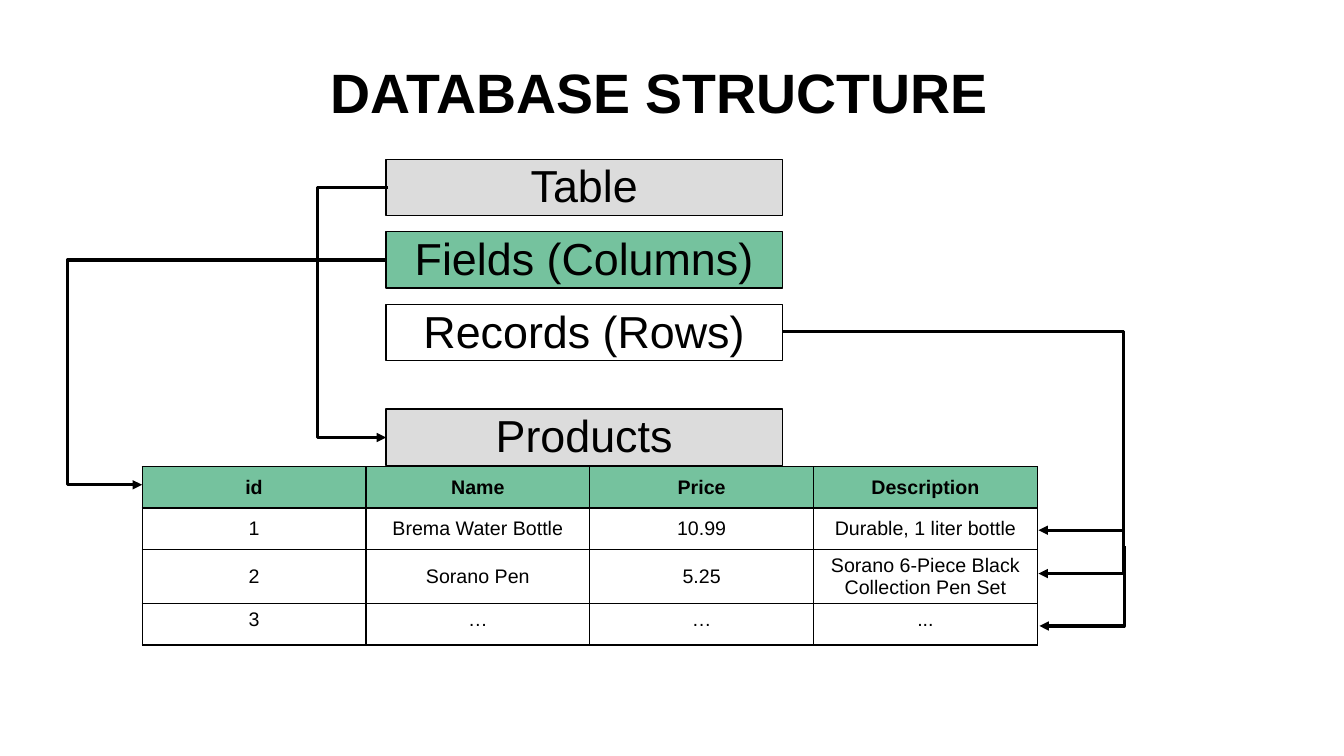
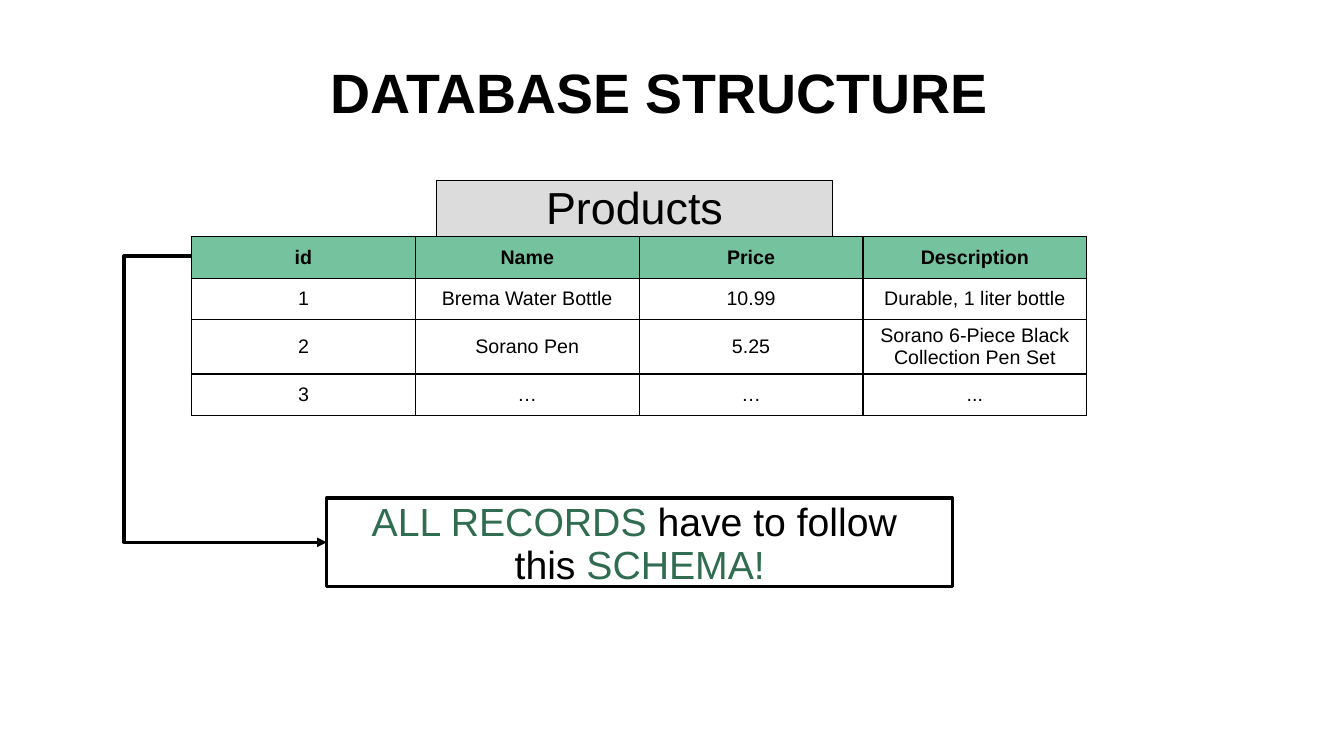
from lxml import etree
from pptx import Presentation
from pptx.dml.color import RGBColor
from pptx.enum.shapes import MSO_CONNECTOR, MSO_SHAPE
from pptx.enum.text import MSO_ANCHOR, PP_ALIGN
from pptx.oxml.ns import qn
from pptx.util import Inches, Pt

RECTANGLE = MSO_SHAPE.RECTANGLE
ELBOW = MSO_CONNECTOR.ELBOW
LEFT, CENTER = PP_ALIGN.LEFT, PP_ALIGN.CENTER
TOP, MIDDLE = MSO_ANCHOR.TOP, MSO_ANCHOR.MIDDLE

FONT = "Arial"
BLACK, WHITE, GRAY = "000000", "FFFFFF", "DCDCDC"
GREEN, DARK_GREEN = "75C29E", "306C50"

LABEL_WIDTH, LABEL_HEIGHT = 3.93, 0.56
COLUMN_WIDTH = 2.22
ROW_HEIGHTS = (0.41, 0.41, 0.54, 0.41)
PRODUCTS = (
    ("id", "Name", "Price", "Description"),
    ("1", "Brema Water Bottle", "10.99", "Durable, 1 liter bottle"),
    ("2", "Sorano Pen", "5.25", "Sorano 6-Piece Black Collection Pen Set"),
    ("3", "…", "…", "..."),
)


def color(hex_code):
    return RGBColor.from_string(hex_code)


def write(frame, spans, size, bold=False, align=CENTER, anchor=TOP, spacing=None):
    """Fill a text frame with one paragraph of (text, colour) spans; "\\n" breaks the line."""
    frame.word_wrap = True
    frame.vertical_anchor = anchor
    para = frame.paragraphs[0]
    para.alignment = align
    if spacing:
        para.line_spacing = spacing
    for text, ink in spans:
        if text == "\n":
            para.add_line_break()
            continue
        span = para.add_run()
        span.text = text
        span.font.name = FONT
        span.font.size = Pt(size)
        span.font.bold = bold
        span.font.color.rgb = color(ink)


def set_margins(frame, margin=0.05):
    frame.margin_left = frame.margin_right = Inches(margin)
    frame.margin_top = frame.margin_bottom = Inches(margin)


def add_page(deck, title):
    page = deck.slides.add_slide(deck.slide_layouts.get_by_name("Title Only"))
    box = page.shapes.title
    box.left, box.top = Inches(3.23), Inches(0.5)
    box.width, box.height = Inches(6.88), Inches(0.89)
    set_margins(box.text_frame)
    write(box.text_frame, [(title, BLACK)], 39.6, bold=True, align=LEFT,
          anchor=MIDDLE, spacing=0.9)
    return page


def add_box(page, left, top, width, height, spans, size, fill=None, line_width=1):
    box = page.shapes.add_shape(RECTANGLE, Inches(left), Inches(top),
                                Inches(width), Inches(height))
    box.shadow.inherit = False
    if fill:
        box.fill.solid()
        box.fill.fore_color.rgb = color(fill)
    else:
        box.fill.background()
    box.line.color.rgb = color(BLACK)
    box.line.width = Pt(line_width)
    set_margins(box.text_frame)
    write(box.text_frame, spans, size, spacing=0.9)


def add_label(page, left, top, text, fill):
    add_box(page, left, top, LABEL_WIDTH, LABEL_HEIGHT, [(text, BLACK)], 32, fill)


def add_elbow_arrow(page, start, end, turn):
    """Draw an arrow whose vertical part lies at the x position given by turn."""
    arrow = page.shapes.add_connector(ELBOW, Inches(start[0]), Inches(start[1]),
                                      Inches(end[0]), Inches(end[1]))
    arrow.line.color.rgb = color(BLACK)
    arrow.line.width = Pt(2.25)
    properties = arrow._element.spPr
    bend = round((turn - start[0]) / (end[0] - start[0]) * 100000)
    guides = properties.find(qn("a:prstGeom")).get_or_add_avLst()
    etree.SubElement(guides, qn("a:gd"), name="adj1", fmla=f"val {bend}")
    etree.SubElement(properties.find(qn("a:ln")), qn("a:tailEnd"), type="triangle")
    etree.SubElement(properties, qn("a:effectLst"))


def add_cell_borders(cell):
    properties = cell._tc.get_or_add_tcPr()
    for index, side in enumerate(("lnL", "lnR", "lnT", "lnB")):
        line = etree.Element(qn(f"a:{side}"), w=str(Pt(1)))
        fill = etree.SubElement(line, qn("a:solidFill"))
        etree.SubElement(fill, qn("a:srgbClr"), val=BLACK)
        properties.insert(index, line)


def add_products_table(page, left, top, last_anchor=MIDDLE):
    row_count, column_count = len(PRODUCTS), len(PRODUCTS[0])
    table = page.shapes.add_table(
        row_count, column_count, Inches(left), Inches(top),
        Inches(COLUMN_WIDTH * column_count), Inches(sum(ROW_HEIGHTS))).table
    table.horz_banding = False
    for column in table.columns:
        column.width = Inches(COLUMN_WIDTH)
    for row_index, (row, height) in enumerate(zip(table.rows, ROW_HEIGHTS)):
        row.height = Inches(height)
        header = row_index == 0
        anchor = last_anchor if row_index == row_count - 1 else MIDDLE
        for cell, text in zip(row.cells, PRODUCTS[row_index]):
            cell.fill.solid()
            cell.fill.fore_color.rgb = color(GREEN if header else WHITE)
            write(cell.text_frame, [(text, BLACK)], 14, bold=header)
            cell.vertical_anchor = anchor
            add_cell_borders(cell)


def build_parts_page(deck):
    page = add_page(deck, "DATABASE STRUCTURE")
    label_left = 3.83
    label_right = label_left + LABEL_WIDTH
    parts = (("Table", GRAY), ("Fields (Columns)", GREEN), ("Records (Rows)", WHITE))
    for index, (text, fill) in enumerate(parts):
        add_label(page, label_left, 1.58 + 0.72 * index, text, fill)
    add_label(page, label_left, 4.06, "Products", GRAY)
    add_products_table(page, 1.41, 4.63, last_anchor=TOP)

    add_elbow_arrow(page, (label_left + 0.02, 1.86), (label_left, 4.34), turn=3.15)
    add_elbow_arrow(page, (label_left, 2.58), (1.41, 4.81), turn=0.67)
    for record_y in (5.26, 5.69):
        add_elbow_arrow(page, (label_right, 3.29), (10.3, record_y), turn=11.14)
    add_elbow_arrow(page, (11.17, 5.43), (10.31, 6.21), turn=11.15)


def build_schema_page(deck):
    page = add_page(deck, "DATABASE STRUCTURE")
    add_label(page, 4.33, 1.79, "Products", GRAY)
    add_products_table(page, 1.9, 2.35)
    message = [("ALL RECORDS ", DARK_GREEN), ("have to follow ", BLACK), ("\n", BLACK),
               ("this ", BLACK), ("SCHEMA!", DARK_GREEN)]
    add_box(page, 3.24, 4.94, 6.21, 0.88, message, 28, line_width=2.25)
    add_elbow_arrow(page, (1.9, 2.54), (3.24, 5.38), turn=1.23)


def main():
    deck = Presentation()
    deck.slide_width, deck.slide_height = Inches(13.33), Inches(7.5)
    build_parts_page(deck)
    build_schema_page(deck)
    deck.save("out.pptx")


if __name__ == "__main__":
    main()
